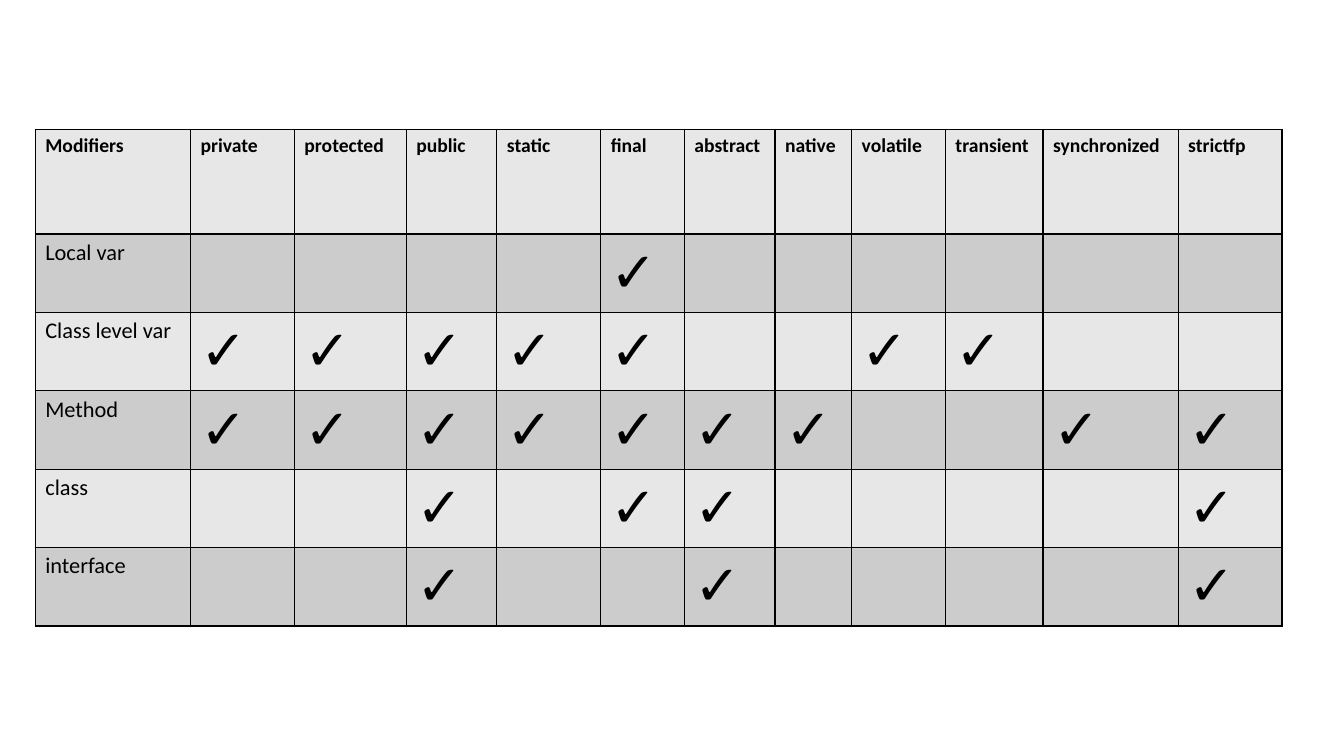
from lxml import etree
from pptx import Presentation
from pptx.dml.color import RGBColor
from pptx.oxml.ns import qn
from pptx.util import Pt

BLACK = RGBColor(0x00, 0x00, 0x00)
LIGHT_GREY = RGBColor(0xE7, 0xE7, 0xE7)
MID_GREY = RGBColor(0xCC, 0xCC, 0xCC)
FONT = "Calibri"
CHECK = "\u2713"
HEADER_HEIGHT, ROW_HEIGHT = 75, 56

# Modifier and its column width in points
MODIFIERS = {
    "private": 74.2, "protected": 79.9, "public": 64.8, "static": 74.2,
    "final": 59.8, "abstract": 64.8, "native": 54.7, "volatile": 67,
    "transient": 69.8, "synchronized": 96.5, "strictfp": 74.2,
}
TARGET_WIDTH = 110.9

# Code element and the modifiers it allows
ALLOWED = {
    "Local var": {"final"},
    "Class level var": {"private", "protected", "public", "static", "final",
                        "volatile", "transient"},
    "Method": set(MODIFIERS) - {"volatile", "transient"},
    "class": {"public", "final", "abstract", "strictfp"},
    "interface": {"public", "abstract", "strictfp"},
}


def add_borders(cell):
    """Draw a black 1 pt line on all four sides, placed before the fill."""
    properties = cell._tc.get_or_add_tcPr()
    for position, side in enumerate(("lnL", "lnR", "lnT", "lnB")):
        line = etree.Element(qn(f"a:{side}"), w=str(Pt(1)))
        solid = etree.SubElement(line, qn("a:solidFill"))
        etree.SubElement(solid, qn("a:srgbClr"), val=str(BLACK))
        properties.insert(position, line)


def fill_cell(cell, text, size, bold, shade):
    """Write one cell with its shade, borders and text."""
    cell.fill.solid()
    cell.fill.fore_color.rgb = shade
    add_borders(cell)
    if text:
        run = cell.text_frame.paragraphs[0].add_run()
        run.text = text
        run.font.name = FONT
        run.font.size = Pt(size)
        run.font.bold = bold
        run.font.color.rgb = BLACK


def add_modifier_table(slide, left, top, width, height):
    """Place the table of modifiers by code element in the given box."""
    table = slide.shapes.add_table(
        len(ALLOWED) + 1, len(MODIFIERS) + 1,
        Pt(left), Pt(top), Pt(width), Pt(height)).table
    table.first_row = table.horz_banding = False

    column_widths = [TARGET_WIDTH, *MODIFIERS.values()]
    scale = width / sum(column_widths)
    for column, column_width in zip(table.columns, column_widths):
        column.width = Pt(column_width * scale)
    for index, row in enumerate(table.rows):
        row.height = Pt(ROW_HEIGHT if index else HEADER_HEIGHT)

    for column, heading in enumerate(["Modifiers", *MODIFIERS]):
        fill_cell(table.cell(0, column), heading, 14, True, LIGHT_GREY)
    for row, (target, allowed) in enumerate(ALLOWED.items(), start=1):
        shade = MID_GREY if row % 2 else LIGHT_GREY
        fill_cell(table.cell(row, 0), target, 16, False, shade)
        for column, modifier in enumerate(MODIFIERS, start=1):
            mark = CHECK if modifier in allowed else ""
            fill_cell(table.cell(row, column), mark, 40, False, shade)


presentation = Presentation()
presentation.slide_width, presentation.slide_height = Pt(960), Pt(540)
modifier_slide = presentation.slides.add_slide(presentation.slide_layouts[6])
add_modifier_table(modifier_slide, 25.2, 92.2, 890.6,
                   HEADER_HEIGHT + ROW_HEIGHT * len(ALLOWED))
presentation.save("out.pptx")
